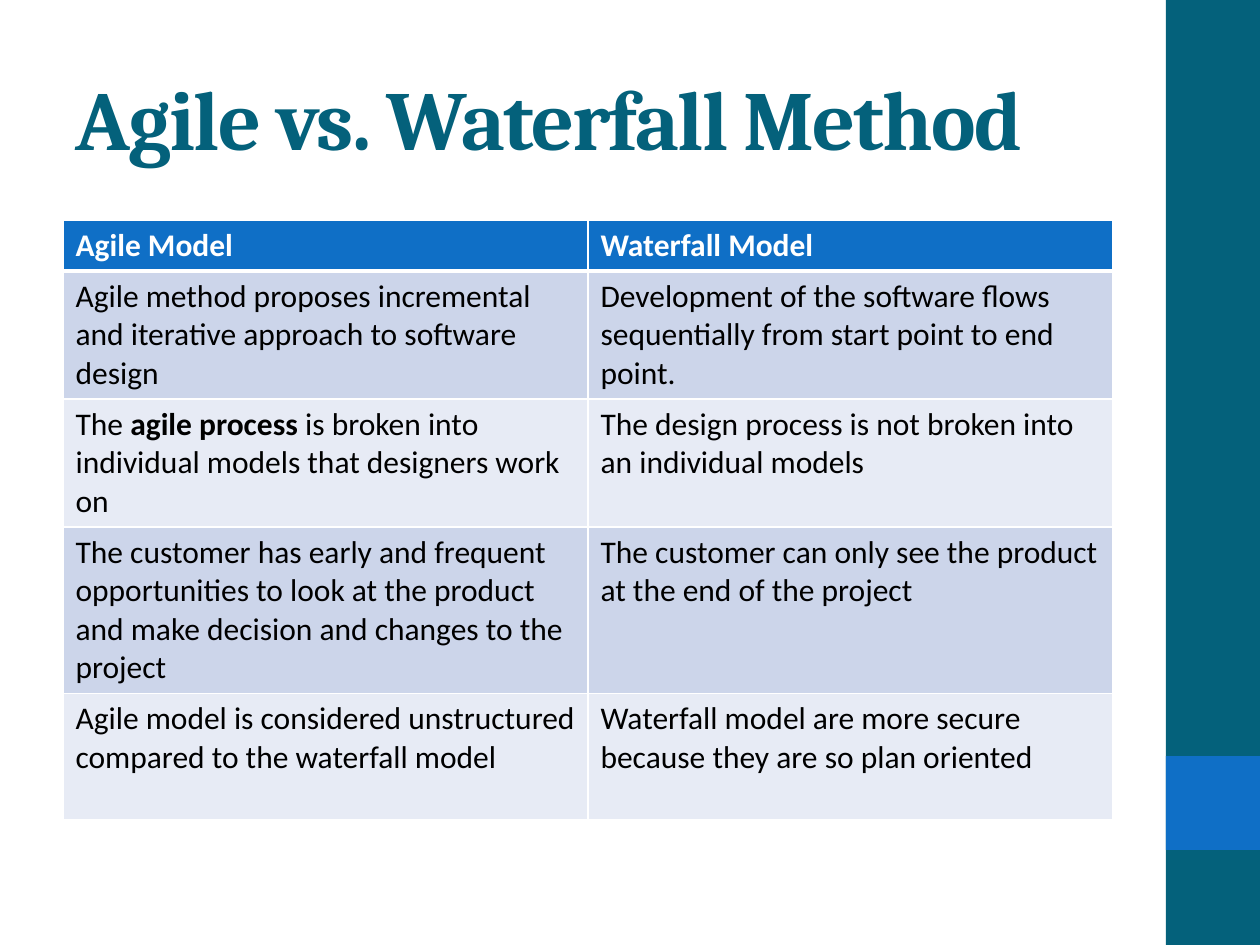
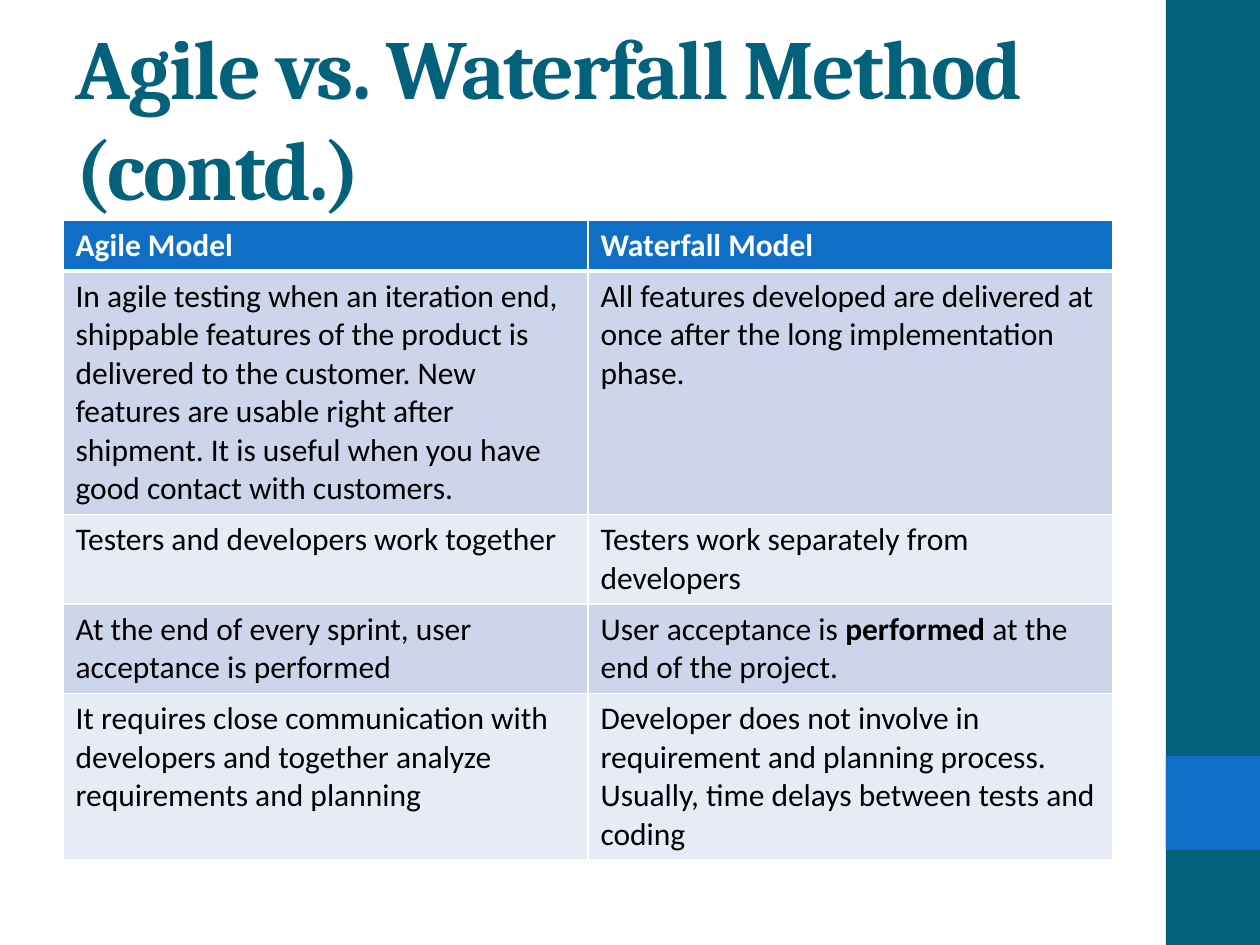
from dataclasses import dataclass
from lxml.etree import SubElement as Sub
from pptx import Presentation
from pptx.dml.color import RGBColor as Rgb
from pptx.enum.shapes import MSO_SHAPE as Kind
from pptx.enum.text import MSO_ANCHOR as Anchor, MSO_AUTO_SIZE as Fit
from pptx.oxml.ns import qn
from pptx.util import Emu, Pt


@dataclass(frozen=True)
class Theme:
    teal: str = "04617B"
    blue: str = "0F6FC6"
    white: str = "FFFFFF"
    black: str = "000000"
    odd: str = "CCD5EA"
    even: str = "E7EBF5"
    head: str = "Cambria"
    body: str = "Calibri"
    large: int = 48
    small: int = 18


look = Theme()


def px(count):
    return Emu(round(count * 914400 / 126))


def write(para, text, name, size, tint, bold):
    for i, part in enumerate(text.split("*")):
        run = para.add_run()
        run.text = part
        style = {"name": name, "size": Pt(size), "bold": bold or i % 2 == 1}
        for key, value in style.items():
            setattr(run.font, key, value)
        run.font.color.rgb = Rgb.from_string(tint)
    return para.runs


models = ("Agile Model", "Waterfall Model")
pages = [
    ("Agile vs. Waterfall Method", [
        (51, models),
        (128, ("Agile method proposes incremental and iterative approach to software design",
               "Development of the software flows sequentially from start point to end point.")),
        (128, ("The *agile process* is broken into individual models that designers work on",
               "The design process is not broken into an individual models")),
        (166, ("The customer has early and frequent opportunities to look at the product "
               "and make decision and changes to the project",
               "The customer can only see the product at the end of the project")),
        (126, ("Agile model is considered unstructured compared to the waterfall model",
               "Waterfall model are more secure because they are so plan oriented")),
    ]),
    ("Agile vs. Waterfall Method (contd.)", [
        (51, models),
        (243, ("In agile testing when an iteration end, shippable features of the product is "
               "delivered to the customer. New features are usable right after shipment. "
               "It is useful when you have good contact with customers.",
               "All features developed are delivered at once after the long implementation phase.")),
        (89, ("Testers and developers work together",
              "Testers work separately from developers")),
        (89, ("At the end of every sprint, user acceptance is performed",
              "User acceptance is *performed* at the end of the project.")),
        (166, ("It requires close communication with developers and together analyze "
               "requirements and planning",
               "Developer does not involve in requirement and planning process. "
               "Usually, time delays between tests and coding")),
    ]),
]

deck = Presentation()
deck.slide_width, deck.slide_height = px(1260), px(945)

for title, rows in pages:
    slide = deck.slides.add_slide(deck.slide_layouts[6])

    for top, tall, tint in ((0, 945, look.teal), (756, 94, look.blue)):
        band = slide.shapes.add_shape(Kind.RECTANGLE, px(1166), px(top), px(94), px(tall))
        band.shadow.inherit = False
        band.fill.solid()
        band.fill.fore_color.rgb = Rgb.from_string(tint)
        band.line.fill.background()

    frame = slide.shapes.add_textbox(px(63), px(38), px(1050), px(157)).text_frame
    setup = {"word_wrap": True, "auto_size": Fit.NONE, "vertical_anchor": Anchor.MIDDLE}
    for key, value in setup.items():
        setattr(frame, key, value)
    for run in write(frame.paragraphs[0], title, look.head, look.large, look.teal, True):
        run.font._element.set("spc", "-100")

    total = sum(tall for tall, texts in rows)
    grid = slide.shapes.add_table(len(rows), 2, px(63), px(220), px(1050), px(total)).table
    grid.horz_banding = False
    for col in grid.columns:
        col.width = px(525)

    for r, (tall, texts) in enumerate(rows):
        grid.rows[r].height = px(tall)
        first = r == 0
        fill = look.blue if first else look.odd if r % 2 else look.even
        tint = look.white if first else look.black
        edges = {"lnL": 1, "lnR": 1, "lnT": 3 if r == 1 else 1, "lnB": 3 if first else 1}
        for c, text in enumerate(texts):
            cell = grid.cell(r, c)
            write(cell.text_frame.paragraphs[0], text, look.body, look.small, tint, first)
            props = cell._tc.get_or_add_tcPr()
            for edge, width in edges.items():
                line = Sub(props, qn(f"a:{edge}"), w=str(Pt(width)))
                paint = Sub(line, qn("a:solidFill"))
                Sub(paint, qn("a:srgbClr"), val=look.white)
            cell.fill.solid()
            cell.fill.fore_color.rgb = Rgb.from_string(fill)

deck.save("out.pptx")
